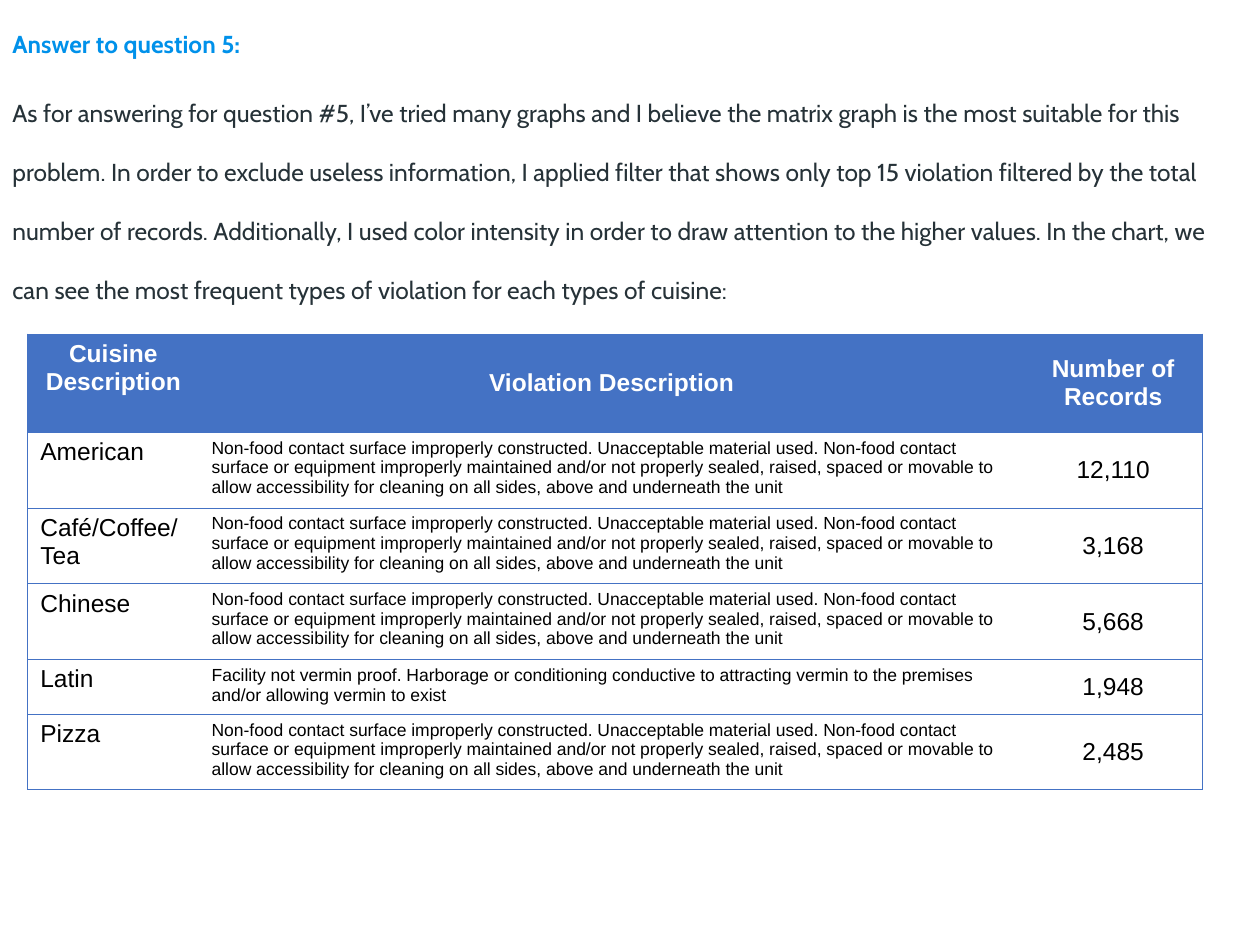
from lxml import etree
from pptx import Presentation
from pptx.dml.color import RGBColor
from pptx.enum import text
from pptx.oxml.ns import qn
from pptx.util import Inches, Pt

BLUE, WHITE, BLACK = "4472C4", "FFFFFF", "000000"
HEADING = "Answer to question 5:"
ANSWER = (
    "As for answering for question #5, I’ve tried many graphs and I believe the matrix graph "
    "is the most suitable for this problem. In order to exclude useless information, I applied "
    "filter that shows only top 15 violation filtered by the total number of records. "
    "Additionally, I used color intensity in order to draw attention to the higher values. "
    "In the chart, we can see the most frequent types of violation for each types of cuisine:"
)
SURFACE = (
    "Non-food contact surface improperly constructed. Unacceptable material used. Non-food "
    "contact surface or equipment improperly maintained and/or not properly sealed, raised, "
    "spaced or movable to allow accessibility for cleaning on all sides, above and underneath "
    "the unit"
)
VERMIN = (
    "Facility not vermin proof. Harborage or conditioning conductive to attracting vermin "
    "to the premises and/or allowing vermin to exist"
)
ROWS = [
    ("Cuisine Description", "Violation Description", "Number of Records"),
    ("American", SURFACE, "12,110"),
    ("Café/Coffee/\vTea", SURFACE, "3,168"),
    ("Chinese", SURFACE, "5,668"),
    ("Latin", VERMIN, "1,948"),
    ("Pizza", SURFACE, "2,485"),
]
COLUMN_WIDTHS = [1.36, 6.55, 1.41]
ROW_HEIGHTS = [0.78, 0.56, 0.56, 0.56, 0.41, 0.56]


def color(value):
    """Return the colour for a hex string."""
    return RGBColor.from_string(value)


def set_font(paragraph, name, size, value, bold=False):
    """Format a whole paragraph."""
    font = paragraph.font
    font.name, font.size, font.bold = name, Pt(size), bold
    font.color.rgb = color(value)


def set_borders(cell, visible):
    """Draw the named sides of a cell in blue and hide the others."""
    properties = cell._tc.get_or_add_tcPr()
    for index, side in enumerate("LRTB"):
        line = etree.Element(qn(f"a:ln{side}"), w=str(Pt(0.5)))
        if side in visible:
            fill = etree.SubElement(line, qn("a:solidFill"))
            etree.SubElement(fill, qn("a:srgbClr"), val=BLUE)
        else:
            etree.SubElement(line, qn("a:noFill"))
        properties.insert(index, line)


def add_answer(slide, left, top, width, height):
    """Add the heading and the explanation in one box."""
    frame = slide.shapes.add_textbox(left, top, width, height).text_frame
    frame.word_wrap = True
    frame.margin_left = frame.margin_right = Inches(0.1)
    frame.margin_top = frame.margin_bottom = Inches(0.1)
    heading, answer = frame.paragraphs[0], frame.add_paragraph()
    heading.text, answer.text = HEADING, ANSWER
    heading.space_before = answer.space_before = Pt(6)
    answer.line_spacing = 2.0
    set_font(heading, "Cabin", 14, "0091EA", True)
    set_font(answer, "Cabin", 14, "263238")


def fill_cell(cell, content, row, column):
    """Write and format one cell according to its place in the table."""
    header, last = row == 0, column == len(COLUMN_WIDTHS) - 1
    cell.text = content
    cell.fill.solid()
    cell.fill.fore_color.rgb = color(BLUE if header else WHITE)
    middle = last or (header and column > 0)
    cell.vertical_anchor = text.MSO_ANCHOR.MIDDLE if middle else text.MSO_ANCHOR.TOP
    paragraph = cell.text_frame.paragraphs[0]
    centered = header or last
    paragraph.alignment = text.PP_ALIGN.CENTER if centered else text.PP_ALIGN.LEFT
    size = 10 if column == 1 and not header else 14
    set_font(paragraph, "Arial", size, WHITE if header else BLACK, header)
    set_borders(cell, "TB" + ("L" if column == 0 else "R" if last else ""))


def add_violations(slide, left, top, width, height):
    """Add the table of the most frequent violations."""
    frame = slide.shapes.add_table(len(ROWS), len(COLUMN_WIDTHS), left, top, width, height)
    table = frame.table
    table.first_row = table.horz_banding = False
    for column, column_width in zip(table.columns, COLUMN_WIDTHS):
        column.width = Inches(column_width)
    for row, row_height in zip(table.rows, ROW_HEIGHTS):
        row.height = Inches(row_height)
    for row, contents in enumerate(ROWS):
        for column, content in enumerate(contents):
            fill_cell(table.cell(row, column), content, row, column)


def main():
    """Build and save the presentation."""
    presentation = Presentation()
    presentation.slide_width, presentation.slide_height = Inches(10), Inches(7.5)
    slide = presentation.slides.add_slide(presentation.slide_layouts[6])
    add_answer(slide, Inches(0), Inches(0.13), Inches(10), Inches(3.36))
    add_violations(
        slide, Inches(0.22), Inches(2.65), Inches(sum(COLUMN_WIDTHS)), Inches(sum(ROW_HEIGHTS))
    )
    presentation.save("out.pptx")


if __name__ == "__main__":
    main()
